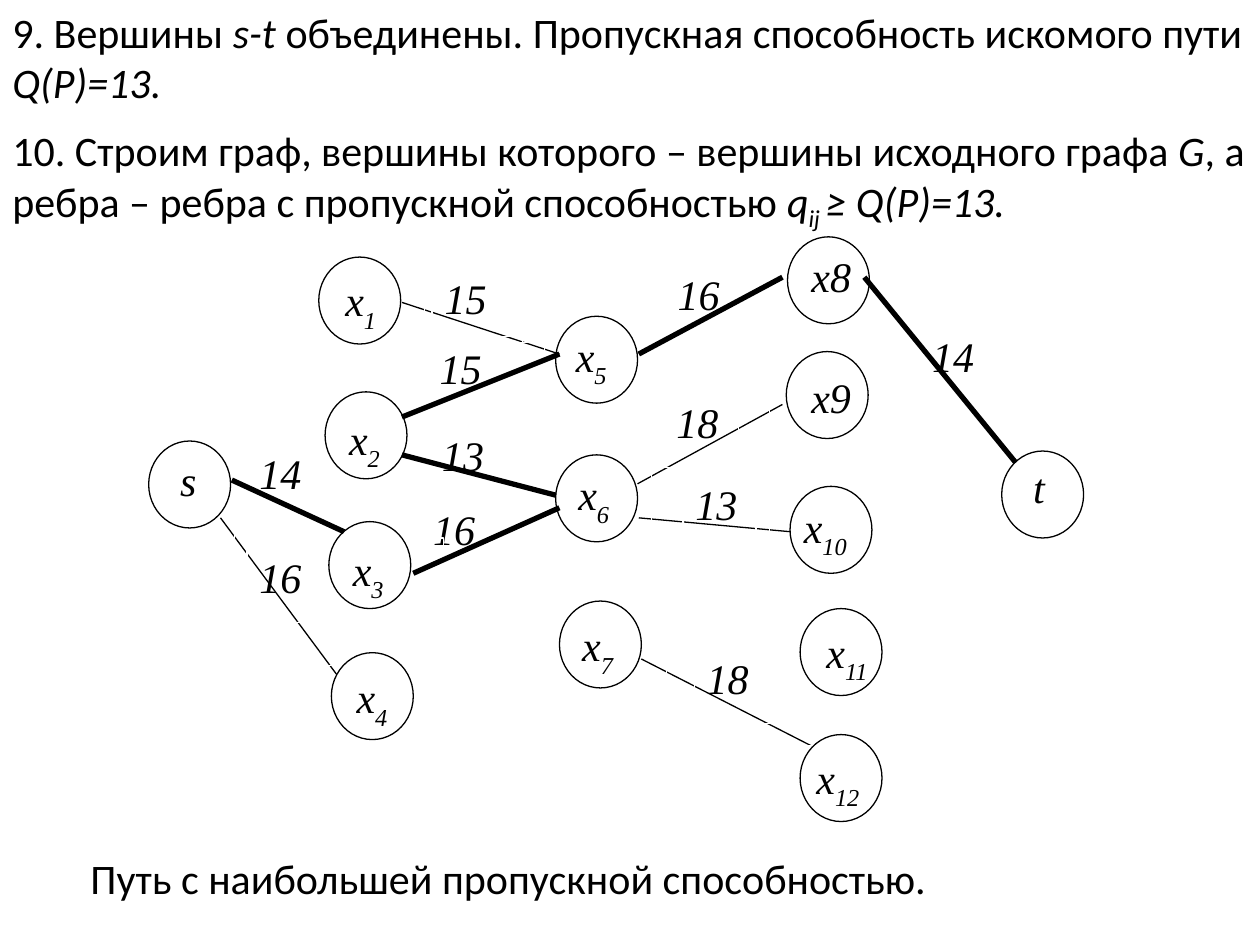
"""Build a slide with the graph of the widest path from s to t."""
from dataclasses import dataclass

from lxml import etree
from pptx import Presentation, util as u
from pptx.dml import color
from pptx.enum import shapes, text
from pptx.oxml import ns

BODY = {"name": "Calibri", "size": u.Pt(24)}
MATH = {"name": "Times New Roman", "size": u.Pt(24), "italic": True}
SIZE = 0.65, 0.69

NOTES = [
    ((0, 0, 10, 0.91), [
        ("9. Вершины ", {}), ("s-t", {"italic": True}),
        (" объединены. Пропускная способность искомого пути ", {}),
        ("Q(P)=13.", {"italic": True})]),
    ((0, 0.94, 10, 0.91), [
        ("10. Строим граф, вершины которого – вершины исходного графа ", {}),
        ("G", {"italic": True}),
        (", а ребра – ребра с пропускной способностью ", {}),
        ("q", {"italic": True}), ("ij ", {"italic": True, "base": -25}),
        ("≥ Q(P)=13.", {"italic": True})]),
    ((0.62, 6.72, 9.06, 0.5),
     [("Путь с наибольшей пропускной способностью.", {})]),
]

NODES = [
    ("s", "", (1.18, 3.5), (1.1, 3.56, 0.76, 0.81), 0.23),
    ("x", "1", (2.53, 2.04), (2.49, 2.13, 0.88, 0.61), 0.15),
    ("x", "2", (2.58, 3.11), (2.42, 3.23, 0.88, 0.61), 0.25),
    ("x", "3", (2.61, 4.14), (2.62, 4.27, 0.9, 0.61), 0.08),
    ("x", "4", (2.63, 5.18), (2.58, 5.28, 0.93, 0.76), 0.15),
    ("x", "5", (4.41, 2.51), (4.32, 2.57, 0.9, 0.81), 0.15),
    ("x", "6", (4.41, 3.61), (4.41, 3.67, 0.76, 0.77), 0.08),
    ("x", "7", (4.44, 4.77), (4.44, 4.87, 0.85, 0.81), 0.08),
    ("x8", "", (6.25, 1.88), (6.11, 1.94, 0.99, 0.73), 0.23),
    ("x9", "", (6.24, 2.79), (6.11, 2.9, 0.97, 0.72), 0.23),
    ("x", "10", (6.27, 3.86), (6.11, 3.93, 0.97, 0.69), 0.17),
    ("x", "11", (6.35, 4.83), (6.21, 4.92, 0.97, 0.61), 0.25),
    ("x", "12", (6.35, 5.83), (6.21, 5.92, 1.07, 0.72), 0.17),
    ("t", "", (7.95, 3.58), (7.95, 3.61, 0.84, 0.81), 0.15),
]

THIN = [
    ("16", (1.96, 4.33, 0.76), (1.75, 4.11, 2.67, 5.35)),
    ("15", (3.43, 2.11, 0.76), (3.19, 2.4, 4.44, 2.81)),
    ("18", (5.27, 3.1, 0.59), (6.21, 3.21, 5.06, 3.84)),
    ("13", (5.42, 3.75, 0.58), (5.07, 4.11, 6.27, 4.22)),
    ("18", (5.51, 5.13, 0.76), (5.09, 5.23, 6.44, 5.92)),
]
BOLD = [
    ("14", (1.96, 3.5, 0.76), (1.84, 3.81, 2.73, 4.22)),
    ("13", (3.41, 3.36, 0.76), (3.19, 3.61, 4.41, 3.93)),
    ("15", (3.39, 2.67, 0.76), (3.19, 3.31, 4.44, 2.81)),
    ("16", (3.34, 3.95, 0.77), (3.28, 4.55, 4.44, 4.03)),
    ("16", (5.28, 2.08, 0.77), (5.07, 2.81, 6.21, 2.2)),
    ("14", (7.3, 2.57, 0.76), (6.86, 2.2, 8.06, 3.67)),
]


def rgb(code):
    return color.RGBColor.from_string(code)


def inch(vals):
    return [u.Inches(v) for v in vals]


@dataclass
class Pen:
    slide: object
    ink: str = "000000"
    paper: str = "FFFFFF"

    def words(self, shape, runs, style, inset=0.1):
        frame = shape.text_frame
        form = {"word_wrap": True, "margin_left": u.Inches(inset),
                "vertical_anchor": text.MSO_ANCHOR.TOP}
        for key, val in form.items():
            setattr(frame, key, val)
        para = frame.paragraphs[0]
        para.alignment = text.PP_ALIGN.LEFT
        for part, extra in runs:
            run = para.add_run()
            run.text = part
            form = {**style, **extra}
            base = form.pop("base", 0)
            for key, val in form.items():
                setattr(run.font, key, val)
            run.font.color.rgb = rgb(self.ink)
            if base:
                run._r.get_or_add_rPr().set("baseline", str(base * 1000))

    def note(self, box, runs):
        self.words(self.slide.shapes.add_textbox(*inch(box)), runs, BODY)

    def shape(self, kind, box, line):
        item = self.slide.shapes.add_shape(kind, *inch(box))
        item.shadow.inherit = False
        item.fill.background()
        item.line.color.rgb = rgb(line)
        item.line.width = u.Pt(0.75)
        return item

    def label(self, box, runs, inset=0.1):
        item = self.shape(shapes.MSO_SHAPE.RECTANGLE, box, self.paper)
        self.words(item, runs, MATH, inset)

    def node(self, spot):
        self.shape(shapes.MSO_SHAPE.OVAL, (*spot, *SIZE), self.ink)

    def edge(self, ends, width):
        item = self.slide.shapes.add_connector(
            shapes.MSO_CONNECTOR.STRAIGHT, *inch(ends))
        item.line.color.rgb = rgb(self.ink)
        item.line.width = u.Pt(width)
        etree.SubElement(item._element.spPr, ns.qn("a:effectLst"))


def main():
    deck = Presentation()
    deck.slide_width, deck.slide_height = inch((10, 7.5))
    pen = Pen(deck.slides.add_slide(deck.slide_layouts[6]))
    for box, runs in NOTES:
        pen.note(box, runs)
    for _, _, ends in THIN:
        pen.edge(ends, 0.75)
    for load, spot, _ in THIN + BOLD:
        pen.label((*spot, 0.61), [(load, {})])
    for name, sub, _, box, dent in NODES:
        runs = [(name, {})] + ([(sub, {"base": -30})] if sub else [])
        pen.label(box, runs, 0.1 + dent)
    for _, _, spot, _, _ in NODES:
        pen.node(spot)
    for _, _, ends in BOLD:
        pen.edge(ends, 3)
    deck.save("out.pptx")


if __name__ == "__main__":
    main()
